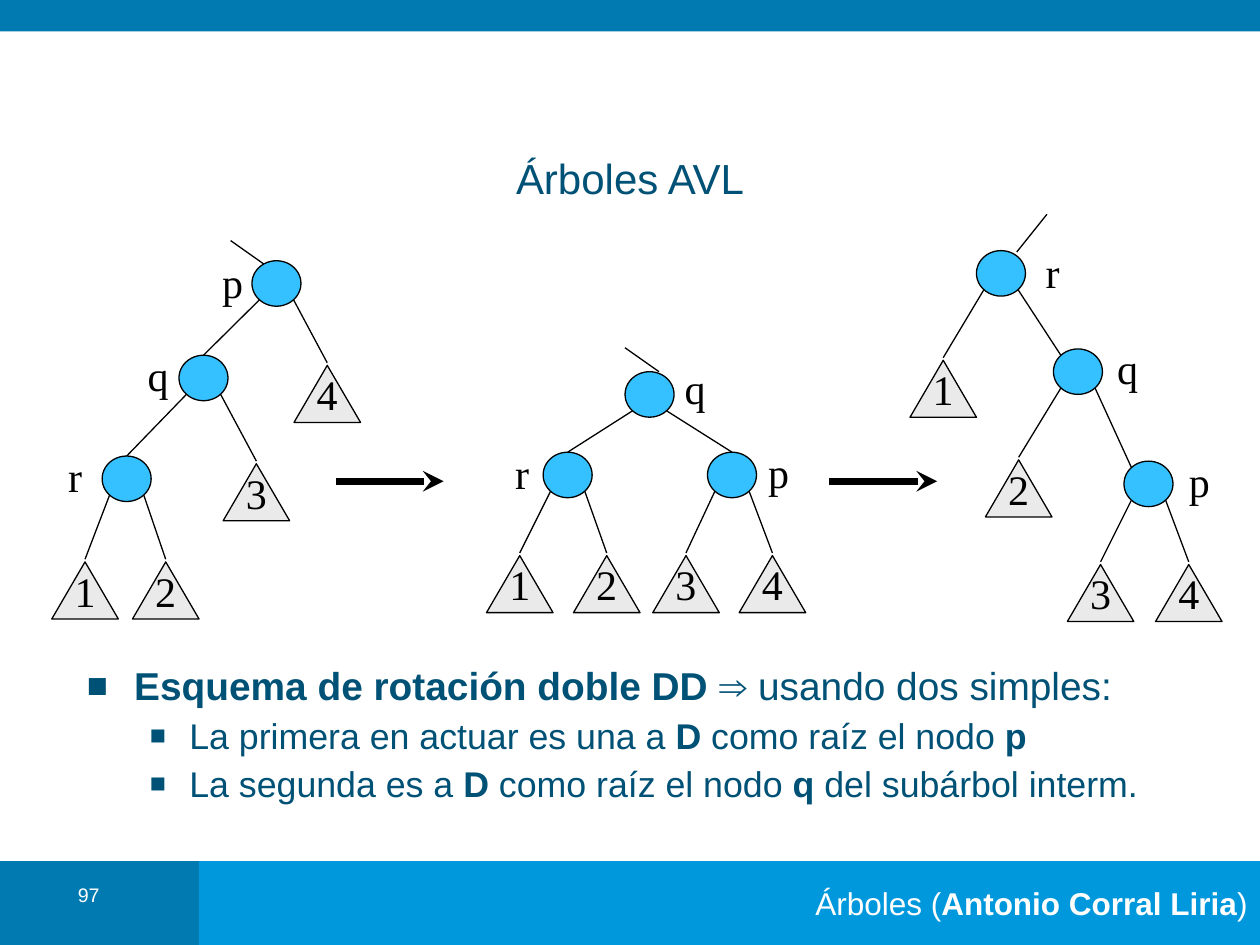
from lxml.etree import SubElement
from pptx import Presentation
from pptx.dml.color import RGBColor
from pptx.enum.shapes import MSO_CONNECTOR, MSO_SHAPE
from pptx.enum.text import MSO_ANCHOR, MSO_AUTO_SIZE, PP_ALIGN
from pptx.oxml.ns import qn
from pptx.util import Pt

DARK, BRIGHT, INK = "007AB1", "0098DC", "005176"
NODE_FILL, LEAF_FILL, BLACK, WHITE = "35C0FF", "EAEAEA", "000000", "FFFFFF"
NODE_W, NODE_H = 28, 26
LEAF_W, LEAF_H = 38, 32.6
SHOULDER_X, SHOULDER_Y = 9.8, 9.4

# node: centre x, centre y, label offset x, label offset y
# leaf: apex x, apex y; children: left, right
TREES = [
    dict(
        nodes={"p": (158, 162, -25, -1), "q": (116.3, 216, -26, -2),
               "r": (72.4, 273.6, -29.5, -2)},
        leaves={"1": (48.6, 321.1), "2": (94.7, 321.1),
                "3": (146.5, 265), "4": (187, 208.8)},
        children={"p": "q4", "q": "r3", "r": "12"},
        stem=(151.2, 151.2, 131.8, 137.5), meets_top=True),
    dict(
        nodes={"q": (371.2, 225.4, 26, -4), "r": (324.4, 271.4, -26, -1.5),
               "p": (418.3, 271.4, 26.6, -2)},
        leaves={"1": (297, 317.5), "2": (346.7, 317.5),
                "3": (392, 317.5), "4": (441.4, 317.5)},
        children={"q": "rp", "r": "12", "p": "34"},
        stem=(376.6, 212.4, 357.1, 198.7), meets_top=True),
    dict(
        nodes={"r": (572, 156.2, 29.5, -1), "q": (616, 212.4, 28.4, -2),
               "p": (656.3, 276.5, 29, -1.5)},
        leaves={"1": (539, 205.9), "2": (582.1, 262.8),
                "3": (628.9, 322.6), "4": (679.3, 322.6)},
        children={"r": "1q", "q": "2p", "p": "34"},
        stem=(581, 144, 598.3, 122.4), meets_top=False),
]

BULLETS = [
    (0, [("Esquema de rotación doble DD ", True), ("⇒ usando dos simples:", False)]),
    (1, [("La primera en actuar es una a ", False), ("D", True),
         (" como raíz el nodo ", False), ("p", True)]),
    (1, [("La segunda es a ", False), ("D", True), (" como raíz el nodo ", False),
         ("q", True), (" del subárbol interm.", False)]),
]
# level: size, left margin, hanging indent, bullet percent
LEVELS = {0: (22.2, 27, 27, 90), 1: (20.4, 58.5, 22.5, 75)}


def color(hex_string):
    return RGBColor.from_string(hex_string)


class Painter:
    def __init__(self, page, font="Arial", label_font="Times New Roman"):
        self.page, self.font, self.label_font = page, font, label_font

    def shape(self, kind, left, top, width, height, fill, outlined=True):
        shape = self.page.shapes.add_shape(kind, Pt(left), Pt(top), Pt(width), Pt(height))
        shape.shadow.inherit = False
        shape.fill.solid()
        shape.fill.fore_color.rgb = color(fill)
        if outlined:
            shape.line.color.rgb = color(BLACK)
            shape.line.width = Pt(0.75)
        else:
            shape.line.fill.background()
        return shape

    def line(self, x1, y1, x2, y2, width=0.75, arrow=False):
        line = self.page.shapes.add_connector(
            MSO_CONNECTOR.STRAIGHT, Pt(x1), Pt(y1), Pt(x2), Pt(y2))
        line.line.color.rgb = color(BLACK)
        line.line.width = Pt(width)
        if arrow:
            SubElement(line.line._get_or_add_ln(), qn("a:tailEnd"), type="stealth")
        SubElement(line._element.spPr, qn("a:effectLst"))

    def place(self, box, left, top, width, height, anchor, inset=(0, 0)):
        """Set the box's position and the behaviour of its text frame."""
        box.left, box.top, box.width, box.height = map(Pt, (left, top, width, height))
        frame = box.text_frame
        frame.word_wrap, frame.auto_size = True, MSO_AUTO_SIZE.NONE
        frame.vertical_anchor = anchor
        frame.margin_left = frame.margin_right = Pt(inset[0])
        frame.margin_top = frame.margin_bottom = Pt(inset[1])
        return frame

    def spans(self, para, parts, size, ink, align, font=None):
        """Fill the paragraph with (text, bold) parts in one style."""
        para.alignment = align
        para.font.name, para.font.size = font or self.font, Pt(size)
        para.font.color.rgb = color(ink)
        for text, bold in parts:
            span = para.add_run()
            span.text = text
            if bold:
                span.font.bold = True

    def text(self, parts, area, size, ink, align=PP_ALIGN.CENTER,
             anchor=MSO_ANCHOR.MIDDLE, inset=(0, 0), font=None):
        box = self.page.shapes.add_textbox(0, 0, 0, 0)
        frame = self.place(box, *area, anchor, inset)
        self.spans(frame.paragraphs[0], parts, size, ink, align, font)

    def label(self, text, x, y):
        """Write one character centred on the point."""
        self.text([(text, False)], (x - 13, y - 18, 26, 36), 24, BLACK,
                  font=self.label_font)

    def title(self, text):
        frame = self.place(self.page.shapes.title, 60, 86.4, 600, 30.2, MSO_ANCHOR.MIDDLE)
        self.spans(frame.paragraphs[0], [(text, False)], 24, INK, PP_ALIGN.CENTER)

    def bullets(self, items):
        frame = self.place(self.page.placeholders[1], 42.5, 377.3, 663, 103,
                           MSO_ANCHOR.TOP, (7.2, 3.6))
        for index, (level, parts) in enumerate(items):
            para = frame.add_paragraph() if index else frame.paragraphs[0]
            size, margin, hang, percent = LEVELS[level]
            para.level = level
            para.line_spacing = 0.9
            para.space_before = Pt(5.5 if index else 0)
            props = para._p.get_or_add_pPr()
            props.set("marL", str(Pt(margin)))
            props.set("indent", str(-Pt(hang)))
            SubElement(SubElement(props, qn("a:buClr")), qn("a:srgbClr"), val=INK)
            SubElement(props, qn("a:buSzPct"), val=str(percent * 1000))
            SubElement(props, qn("a:buChar"), char="■")
            self.spans(para, parts, size, INK, PP_ALIGN.LEFT)

    def tree(self, nodes, leaves, children, stem, meets_top):
        self.line(*stem)
        for name, (x, y, label_x, label_y) in nodes.items():
            self.shape(MSO_SHAPE.OVAL, x - NODE_W / 2, y - NODE_H / 2,
                       NODE_W, NODE_H, NODE_FILL)
            self.label(name, x + label_x, y + label_y)
            for side, child in zip((-1, 1), children[name]):
                if child in leaves:
                    end_x, end_y = leaves[child][0], leaves[child][1] - 1.5
                elif meets_top:
                    end_x, end_y = nodes[child][0], nodes[child][1] - NODE_H / 2
                else:
                    end_x = nodes[child][0] - side * SHOULDER_X
                    end_y = nodes[child][1] - SHOULDER_Y
                self.line(x + side * SHOULDER_X, y + SHOULDER_Y, end_x, end_y)
        for name, (x, y) in leaves.items():
            self.shape(MSO_SHAPE.ISOSCELES_TRIANGLE, x - LEAF_W / 2, y,
                       LEAF_W, LEAF_H, LEAF_FILL)
            self.label(name, x, y + LEAF_H / 2)


def main():
    deck = Presentation()
    deck.slide_width, deck.slide_height = Pt(720), Pt(540)
    painter = Painter(deck.slides.add_slide(deck.slide_layouts[1]))

    for area, fill in [((0, 492, 131.8, 48), DARK), ((113.8, 492, 606.2, 48), BRIGHT),
                       ((0, 0, 720, 18), DARK)]:
        painter.shape(MSO_SHAPE.RECTANGLE, *area, fill, outlined=False)
    painter.text([("Árboles (", False), ("Antonio Corral Liria", True), (")", False)],
                 (113.8, 492, 606.2, 48), 18, WHITE, PP_ALIGN.RIGHT, inset=(7.2, 3.6))
    painter.text([("97", False)], (25.2, 502.6, 51, 23), 11.2, WHITE,
                 anchor=MSO_ANCHOR.TOP, inset=(7.2, 2))

    painter.title("Árboles AVL")
    painter.bullets(BULLETS)
    for tree in TREES:
        painter.tree(**tree)
    for start in (192, 474):
        painter.line(start, 275, start + 61.5, 275, width=4, arrow=True)
    deck.save("out.pptx")


if __name__ == "__main__":
    main()
